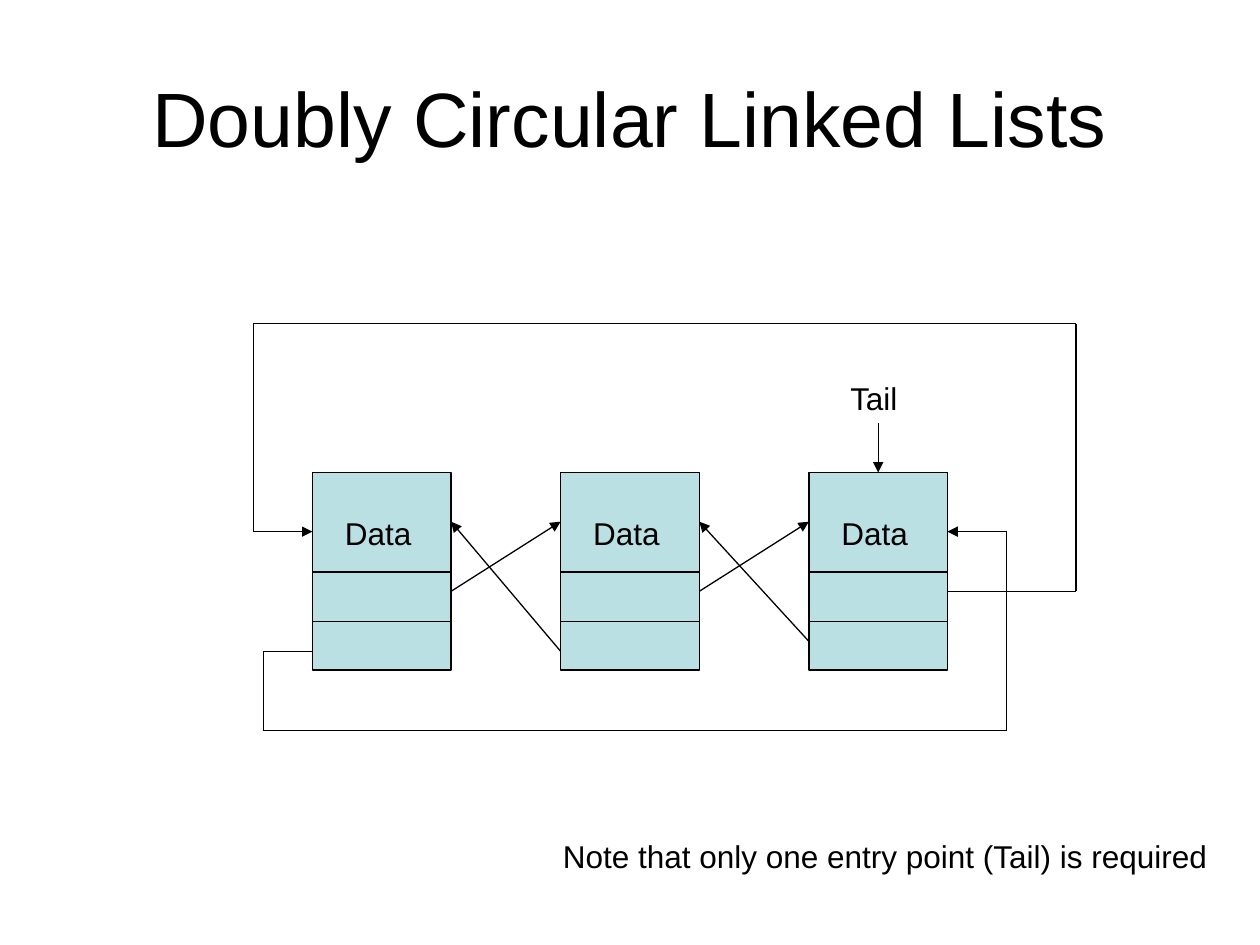
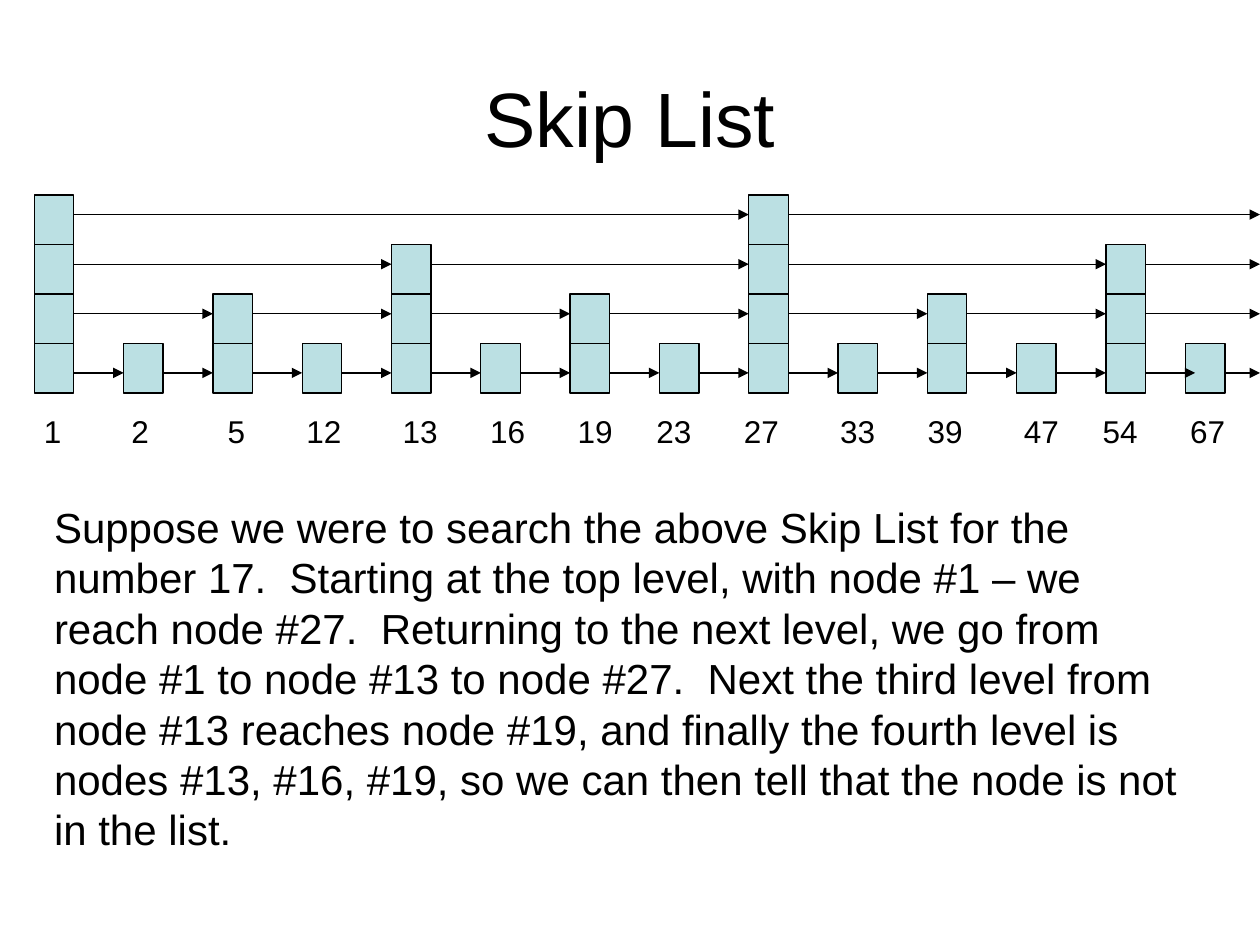
from itertools import pairwise

from lxml.etree import SubElement
from pptx import Presentation
from pptx.dml.color import RGBColor
from pptx.enum.shapes import MSO_CONNECTOR, MSO_SHAPE
from pptx.enum.text import MSO_ANCHOR, MSO_AUTO_SIZE, PP_ALIGN
from pptx.oxml.ns import qn
from pptx.util import Pt

COLORS = {"ink": "000000", "node": "BBE0E3", "page": "FFFFFF"}
FONT = "Arial"
LINE_WIDTH = 0.75
SLIDE_WIDTH, SLIDE_HEIGHT = 720, 540


def color(name):
    return RGBColor.from_string(COLORS[name])


class Deck:
    def __init__(self):
        self.presentation = Presentation()
        self.presentation.slide_width = Pt(SLIDE_WIDTH)
        self.presentation.slide_height = Pt(SLIDE_HEIGHT)
        self.slide = None

    def add_slide(self, title):
        layout = self.presentation.slide_layouts[5]
        self.slide = self.presentation.slides.add_slide(layout)
        self.slide.background.fill.solid()
        self.slide.background.fill.fore_color.rgb = color("page")
        shape = self.slide.shapes.title
        shape.left, shape.top = Pt(36), Pt(21.6)
        shape.width, shape.height = Pt(648), Pt(90)
        shape.text_frame.vertical_anchor = MSO_ANCHOR.MIDDLE
        paragraph = shape.text_frame.paragraphs[0]
        paragraph.alignment = PP_ALIGN.CENTER
        self.run(paragraph, title, 44)

    def run(self, paragraph, text, size):
        run = paragraph.add_run()
        run.text = text
        run.font.name = FONT
        run.font.size = Pt(size)
        run.font.color.rgb = color("ink")

    def text(self, left, top, width, height, text, size=18, wrap=False, tabs=()):
        box = self.slide.shapes.add_textbox(Pt(left), Pt(top), Pt(width), Pt(height))
        frame = box.text_frame
        frame.word_wrap = wrap
        frame.auto_size = MSO_AUTO_SIZE.SHAPE_TO_FIT_TEXT
        paragraph = frame.paragraphs[0]
        if tabs:
            properties = paragraph._p.get_or_add_pPr()
            tab_list = SubElement(properties, qn("a:tabLst"))
            for position in tabs:
                SubElement(tab_list, qn("a:tab"), pos=str(Pt(position)), algn="l")
        self.run(paragraph, text, size)

    def box(self, left, top, width, height, dividers=()):
        shape = self.slide.shapes.add_shape(
            MSO_SHAPE.RECTANGLE, Pt(left), Pt(top), Pt(width), Pt(height))
        shape.shadow.inherit = False
        shape.fill.solid()
        shape.fill.fore_color.rgb = color("node")
        shape.line.color.rgb = color("ink")
        shape.line.width = Pt(LINE_WIDTH)
        for y in dividers:
            self.line((left, y), (left + width, y))
        return shape

    def line(self, start, end, arrow=False):
        connector = self.slide.shapes.add_connector(
            MSO_CONNECTOR.STRAIGHT, *(Pt(value) for value in (*start, *end)))
        connector.line.color.rgb = color("ink")
        connector.line.width = Pt(LINE_WIDTH)
        if arrow:
            SubElement(connector.line._get_or_add_ln(), qn("a:tailEnd"), type="triangle")
        SubElement(connector._element.spPr, qn("a:effectLst"))
        return connector

    def route(self, points):
        segments = list(pairwise(points))
        for start, end in segments[:-1]:
            self.line(start, end)
        self.line(*segments[-1], arrow=True)


def build_circular_list(deck):
    deck.add_slide("Doubly Circular Linked Lists")
    width, top = 79.2, 270
    lefts = [178.56 + 141.84 * index for index in range(3)]
    next_y, previous_y, target_y, entry_y = 337.9, 372.2, 298.1, 303.8

    for left in lefts:
        tail_node = deck.box(left, top, width, 113, dividers=(326.9, 355))
        deck.text(left + 11.5, 290.2, 52.6, 28.8, "Data")

    for (left, right), back_y in zip(pairwise(lefts), (previous_y, 366.5)):
        deck.line((left + width, next_y), (right, target_y), arrow=True)
        deck.line((right, back_y), (left + width, target_y), arrow=True)

    head_left, tail_right = lefts[0], lefts[-1] + width
    outer_left, outer_right, outer_top = 144.7, 614.9, 185
    inner_left, inner_right, inner_bottom = 150.5, 575.3, 417.6
    deck.route([(tail_right, next_y), (outer_right, next_y), (outer_right, outer_top),
                (outer_left, outer_top), (outer_left, entry_y), (head_left, entry_y)])
    deck.route([(head_left, previous_y), (inner_left, previous_y),
                (inner_left, inner_bottom), (inner_right, inner_bottom),
                (inner_right, entry_y), (tail_right, entry_y)])

    tail_x = lefts[-1] + width / 2
    deck.line((tail_x, 241.9), (tail_x, top), arrow=True).end_connect(tail_node, 0)
    deck.text(478.8, 213.1, 43.2, 28.8, "Tail")
    deck.text(314.6, 474.5, 384.5, 28.8,
              "Note that only one entry point (Tail) is required")


def build_skip_list(deck):
    deck.add_slide("Skip List")
    keys = [1, 2, 5, 12, 13, 16, 19, 23, 27, 33, 39, 47, 54, 67]
    levels = [4, 1, 2, 1, 3, 1, 2, 1, 4, 1, 2, 1, 3, 1]
    width, cell, bottom = 22.6, 28.3, 224.6
    columns = [19.6 + 51.03 * index for index in range(len(keys))]
    lefts = columns[:-1] + [677.5]

    for left, level in zip(lefts, levels):
        dividers = [bottom - cell * step for step in range(1, level)]
        deck.box(left, bottom - cell * level, width, cell * level, dividers)

    for level, y in enumerate((213.1, 179.3, 151, 122.6), start=1):
        linked = [index for index, height in enumerate(levels) if height >= level]
        ends = [columns[index] for index in linked[1:]] + [SLIDE_WIDTH]
        for index, end in zip(linked, ends):
            deck.line((lefts[index] + width, y), (end, y), arrow=True)

    tabs = (50, 105, 150, 205, 255, 305, 350, 400, 455, 505, 560, 605, 655)
    deck.text(18, 231.8, 690, 28.8, "\t".join(map(str, keys)), wrap=True, tabs=tabs)
    deck.text(
        23.8, 283, 665.3, 208.8,
        "Suppose we were to search the above Skip List for the number 17.  "
        "Starting at the top level, with node #1 – we reach node #27.  "
        "Returning to the next level, we go from node #1 to node #13 to node #27.  "
        "Next the third level from node #13 reaches node #19, and finally the "
        "fourth level is nodes #13, #16, #19, so we can then tell that the node "
        "is not in the list.",
        size=24, wrap=True)


def main():
    deck = Deck()
    build_circular_list(deck)
    build_skip_list(deck)
    deck.presentation.save("out.pptx")


if __name__ == "__main__":
    main()
